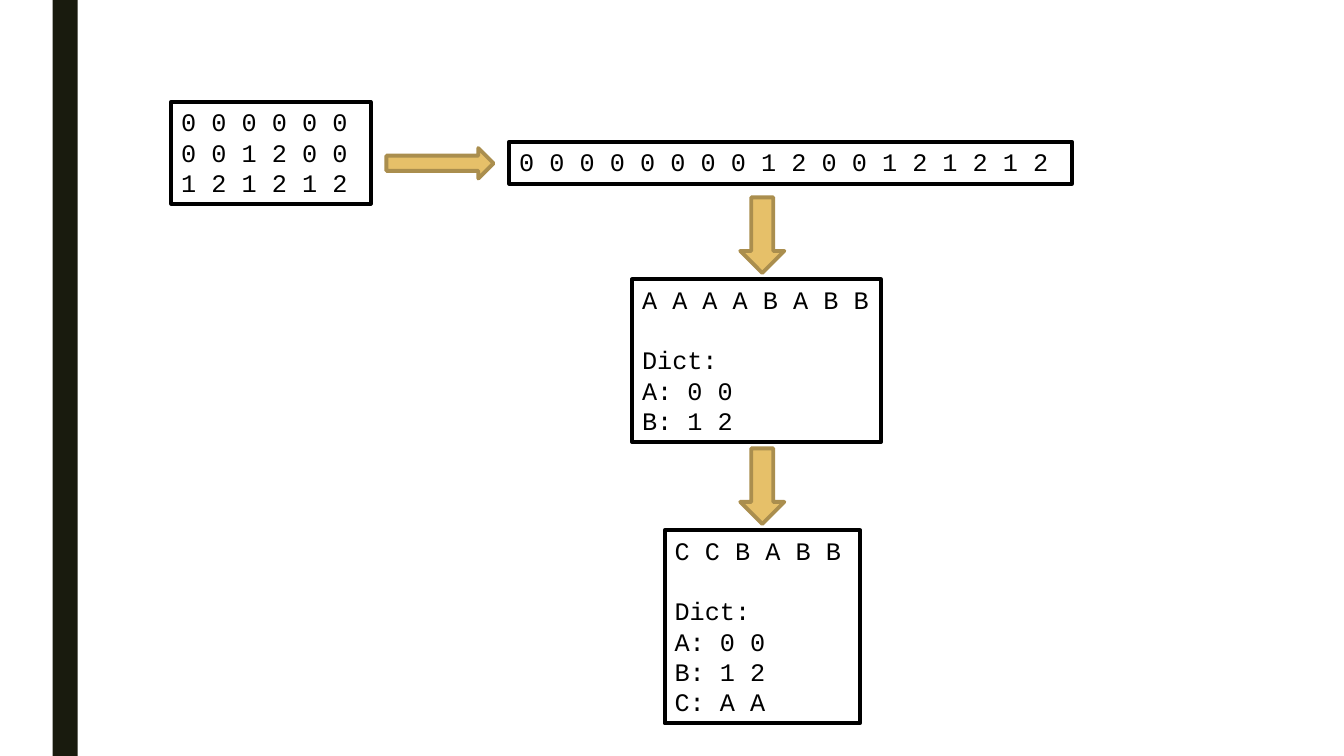
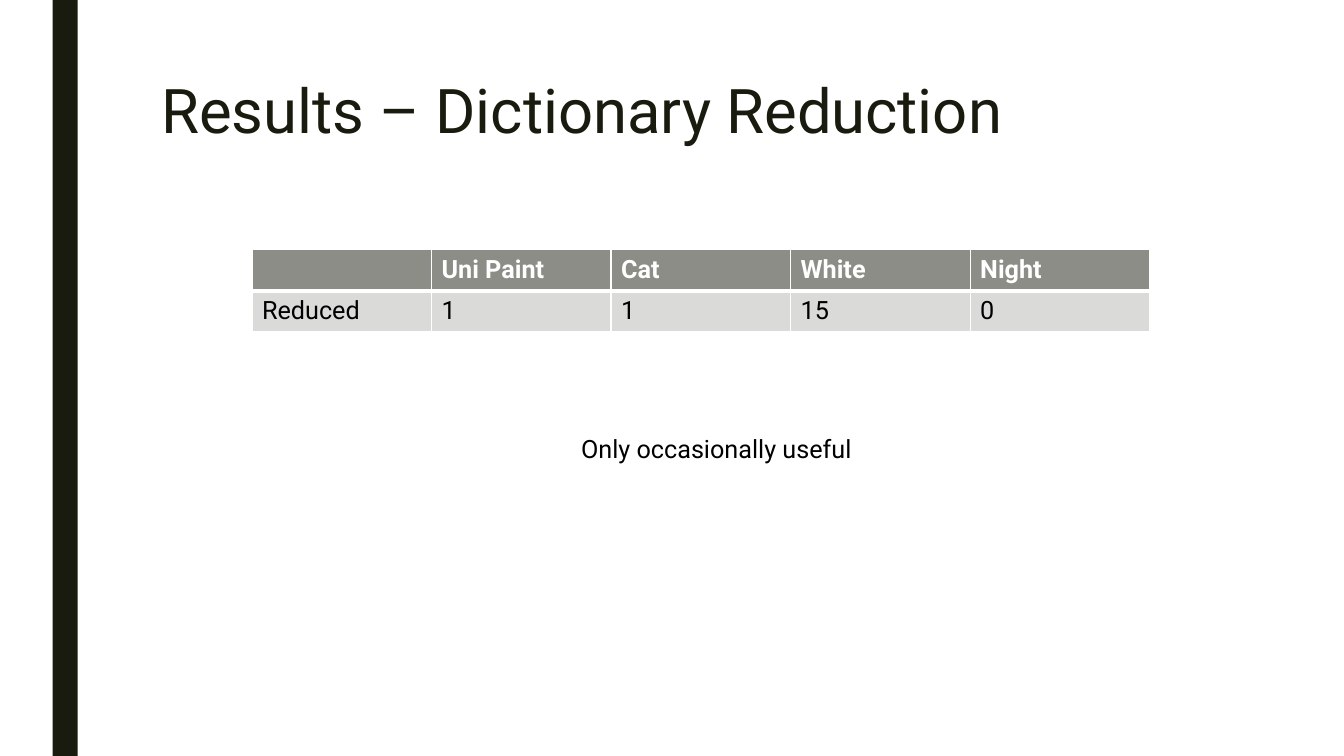
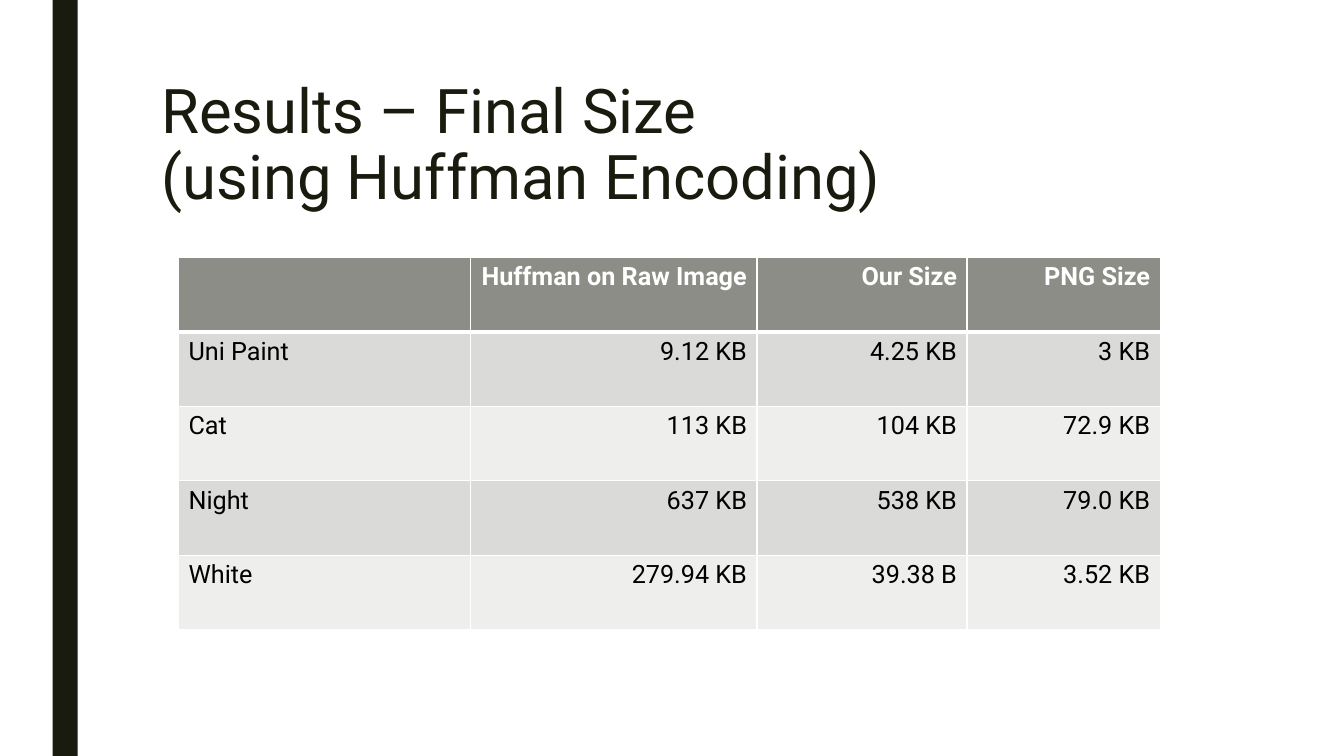
import pptx
import pptx.dml.color
import pptx.enum.shapes
import pptx.enum.text
import pptx.oxml
import pptx.util

PX = 9525
INK, BLACK, WHITE = "191B0E", "000000", "FFFFFF"
GOLD, BRONZE = "E6C069", "AA8E4E"
HEADER, BANDS = "8C8D86", ["DADBD9", "EEEEED"]
FONT, MONO = "Roboto", "Courier New"
MONO_LINE = pptx.util.Pt(21.6)
SHAPE = pptx.enum.shapes.MSO_SHAPE
ALIGN = pptx.enum.text.PP_ALIGN
HEADER_RULE = (
    '<a:lnB xmlns:a="http://schemas.openxmlformats.org/drawingml/2006/main"'
    ' w="38100"><a:solidFill><a:srgbClr val="FFFFFF"/></a:solidFill></a:lnB>')


def paint(target, fill, line=None):
    """Give a shape a flat fill and an optional 2.75 pt outline."""
    target.shadow.inherit = False
    target.fill.solid()
    target.fill.fore_color.rgb = pptx.dml.color.RGBColor.from_string(fill)
    if line:
        target.line.color.rgb = pptx.dml.color.RGBColor.from_string(line)
        target.line.width = pptx.util.Pt(2.75)
    else:
        target.line.fill.background()


def style(tf, size, color, font=FONT, bold=False, align=ALIGN.LEFT):
    for p in tf.paragraphs:
        p.alignment = align
        for r in p.runs:
            r.font.name = font
            r.font.size = pptx.util.Pt(size)
            r.font.bold = bold
            r.font.color.rgb = pptx.dml.color.RGBColor.from_string(color)


prs = pptx.Presentation()
prs.slide_width, prs.slide_height = 1280 * PX, 720 * PX
title_layout, blank_layout = prs.slide_layouts[5], prs.slide_layouts[6]

# Every slide starts with the side band
for layout in (blank_layout, title_layout, title_layout):
    s = prs.slides.add_slide(layout)
    band = s.shapes.add_shape(SHAPE.RECTANGLE, 50 * PX, 0, 24 * PX, 720 * PX)
    paint(band, INK)

# Encoding steps
s = prs.slides[0]
boxes = [
    (163, 97, 190, 97, ["0 0 0 0 0 0", "0 0 1 2 0 0", "1 2 1 2 1 2"]),
    (485, 135, 536, 40, ["0 0 0 0 0 0 0 0 1 2 0 0 1 2 1 2 1 2"]),
    (602, 266, 237, 155, ["A A A A B A B B", "Dict:", "A: 0 0", "B: 1 2"]),
    (633, 505, 186, 184,
     ["C C B A B B", "Dict:", "A: 0 0", "B: 1 2", "C: A A"]),
]
for x, y, w, h, lines in boxes:
    sp = s.shapes.add_shape(SHAPE.RECTANGLE, x * PX, y * PX, w * PX, h * PX)
    paint(sp, WHITE, BLACK)
    tf = sp.text_frame
    tf.word_wrap = True
    tf.vertical_anchor = pptx.enum.text.MSO_ANCHOR.TOP
    tf.text = "\n".join(lines)
    style(tf, 18, BLACK, MONO)
    for p in tf.paragraphs:
        p.line_spacing = MONO_LINE
        if p.text == "Dict:":
            p.space_before = MONO_LINE

arrows = [
    (SHAPE.RIGHT_ARROW, 368, 141, 102, 29),
    (SHAPE.DOWN_ARROW, 705, 188, 42, 72),
    (SHAPE.DOWN_ARROW, 705, 427, 42, 72),
]
for kind, x, y, w, h in arrows:
    sp = s.shapes.add_shape(kind, x * PX, y * PX, w * PX, h * PX)
    paint(sp, GOLD, BRONZE)

# Result tables: slide number, title, title height, left, top, columns,
# row height, alignment of the value columns, rows
results = [
    (1, "Results – Dictionary Reduction", 107, 240, 238, [171] * 5, 39,
     ALIGN.LEFT,
     [["", "Uni Paint", "Cat", "White", "Night"],
      ["Reduced", "1", "1", "15", "0"]]),
    (2, "Results – Final Size\v(using Huffman Encoding)", 156, 170, 245,
     [278, 273, 200, 184], 71, ALIGN.RIGHT,
     [["", "Huffman on Raw Image", "Our Size", "PNG Size"],
      ["Uni Paint", "9.12 KB", "4.25 KB", "3 KB"],
      ["Cat", "113 KB", "104 KB", "72.9 KB"],
      ["Night", "637 KB", "538 KB", "79.0 KB"],
      ["White", "279.94 KB", "39.38 B", "3.52 KB"]]),
]
for number, title, title_h, x, y, widths, row_h, value_align, rows in results:
    s = prs.slides[number]
    sp = s.shapes.title
    sp.left, sp.top = 144 * PX, 72 * PX
    sp.width, sp.height = 1008 * PX, title_h * PX
    tf = sp.text_frame
    tf.text = title
    tf.auto_size = pptx.enum.text.MSO_AUTO_SIZE.NONE
    tf.vertical_anchor = pptx.enum.text.MSO_ANCHOR.TOP
    tf.paragraphs[0].line_spacing = 0.89
    style(tf, 44, INK)

    table = s.shapes.add_table(
        len(rows), len(widths), x * PX, y * PX,
        sum(widths) * PX, len(rows) * row_h * PX).table
    for column, width in zip(table.columns, widths):
        column.width = width * PX
    for i, row in enumerate(rows):
        fill = BANDS[(i - 1) % 2] if i else HEADER
        for j, text in enumerate(row):
            cell = table.cell(i, j)
            cell.fill.solid()
            cell.fill.fore_color.rgb = pptx.dml.color.RGBColor.from_string(fill)
            if i == 0:
                rule = pptx.oxml.parse_xml(HEADER_RULE)
                cell._tc.get_or_add_tcPr().insert(0, rule)
            if text:
                cell.text = text
                style(cell.text_frame, 18, BLACK if i else WHITE, bold=i == 0,
                      align=value_align if j else ALIGN.LEFT)

# Remark below the dictionary table
s = prs.slides[1]
sp = s.shapes.add_textbox(544 * PX, 408 * PX, 498 * PX, 38 * PX)
tf = sp.text_frame
tf.word_wrap = True
tf.text = "Only occasionally useful"
style(tf, 18, BLACK)

prs.save("out.pptx")
